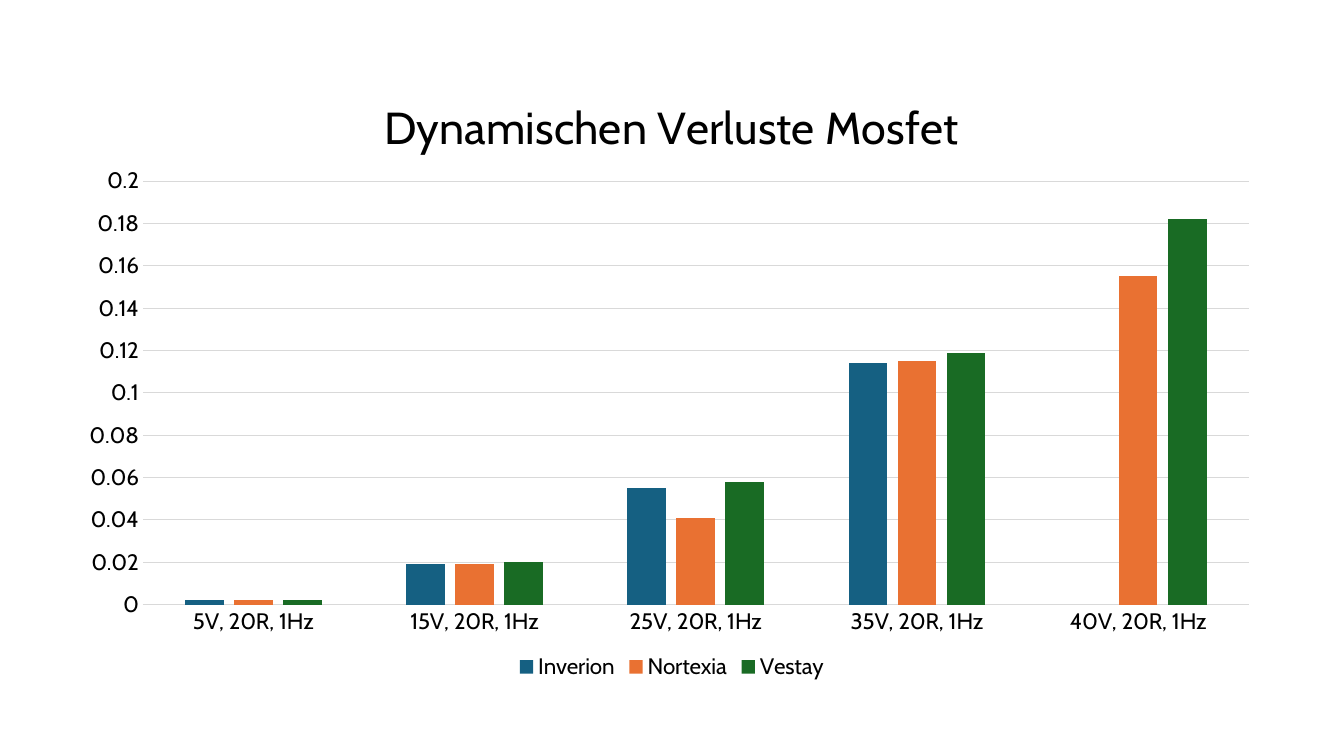
import pptx
import pptx.chart.data
import pptx.dml.color
import pptx.enum.chart
import pptx.oxml
import pptx.oxml.ns
import pptx.util
from pptx.util import Cm

# Content
TITLE = "Dynamischen Verluste Mosfet"
CATEGORIES = [f"{volts}V, 20R, 1Hz" for volts in (5, 15, 25, 35, 40)]
LOSSES = [  # maker, colour name, values
    ("Inverion", "blue", (0.002, 0.019, 0.055, 0.114, None)),
    ("Nortexia", "orange", (0.002, 0.019, 0.041, 0.115, 0.155)),
    ("Vestay", "green", (0.002, 0.02, 0.058, 0.119, 0.182)),
]
COLORS = {"blue": "156082", "orange": "E97132", "green": "196B24",
          "text": "000000", "grid": "D9D9D9"}
FONT = "Cabin"
PLOT_AREA = {"x": 0.06, "y": 0.18, "w": 0.92, "h": 0.69}  # shares of the chart


def rgb(name):
    return pptx.dml.color.RGBColor.from_string(COLORS[name])


def style_font(font, size=16, color="text"):
    font.name = FONT
    font.size = pptx.util.Pt(size)
    font.bold = False
    font.color.rgb = rgb(color)


def set_text(tf, text, **style):
    r = tf.paragraphs[0].add_run()
    r.text = text
    style_font(r.font, **style)


def set_line(line):
    line.color.rgb = rgb("grid")
    line.width = pptx.util.Pt(0.75)


prs = pptx.Presentation()
prs.slide_width, prs.slide_height = Cm(33.87), Cm(19.05)
s = prs.slides.add_slide(prs.slide_layouts[6])

# Chart
data = pptx.chart.data.CategoryChartData()
data.categories = CATEGORIES
for maker, _, values in LOSSES:
    data.add_series(maker, values)
chart = s.shapes.add_chart(
    pptx.enum.chart.XL_CHART_TYPE.COLUMN_CLUSTERED,
    Cm(1.78), Cm(1.78), Cm(30.3), Cm(15.47), data).chart
style_font(chart.font, size=10)

# Title and legend
chart.has_title = True
set_text(chart.chart_title.text_frame, TITLE, size=32)
chart.chart_title.include_in_layout = False
chart.has_legend = True
chart.legend.position = pptx.enum.chart.XL_LEGEND_POSITION.BOTTOM
chart.legend.include_in_layout = False
style_font(chart.legend.font)

# Columns
plot = chart.plots[0]
plot.gap_width, plot.overlap = 219, -27
plot.vary_by_categories = False
for series, (_, color, _) in zip(plot.series, LOSSES):
    series.format.fill.solid()
    series.format.fill.fore_color.rgb = rgb(color)
    series.invert_if_negative = False

# Axes
for axis in (chart.category_axis, chart.value_axis):
    axis.major_tick_mark = pptx.enum.chart.XL_TICK_MARK.NONE
    axis.minor_tick_mark = pptx.enum.chart.XL_TICK_MARK.NONE
    style_font(axis.tick_labels.font)
set_line(chart.category_axis.format.line)
values_axis = chart.value_axis
values_axis.minimum_scale, values_axis.maximum_scale = 0, 0.2
values_axis.major_unit = 0.02
values_axis.format.line.fill.background()
set_line(values_axis.major_gridlines.format.line)

# Inner plot area position
qn = pptx.oxml.ns.qn
area = chart.element.find(".//" + qn("c:plotArea"))
for old in area.findall(qn("c:layout")):
    area.remove(old)
sizes = "".join(f'<c:{key} val="{share}"/>' for key, share in PLOT_AREA.items())
area.insert(0, pptx.oxml.parse_xml(
    f'<c:layout {pptx.oxml.ns.nsdecls("c")}><c:manualLayout>'
    '<c:layoutTarget val="inner"/><c:xMode val="edge"/><c:yMode val="edge"/>'
    f'{sizes}</c:manualLayout></c:layout>'))

prs.save("out.pptx")
